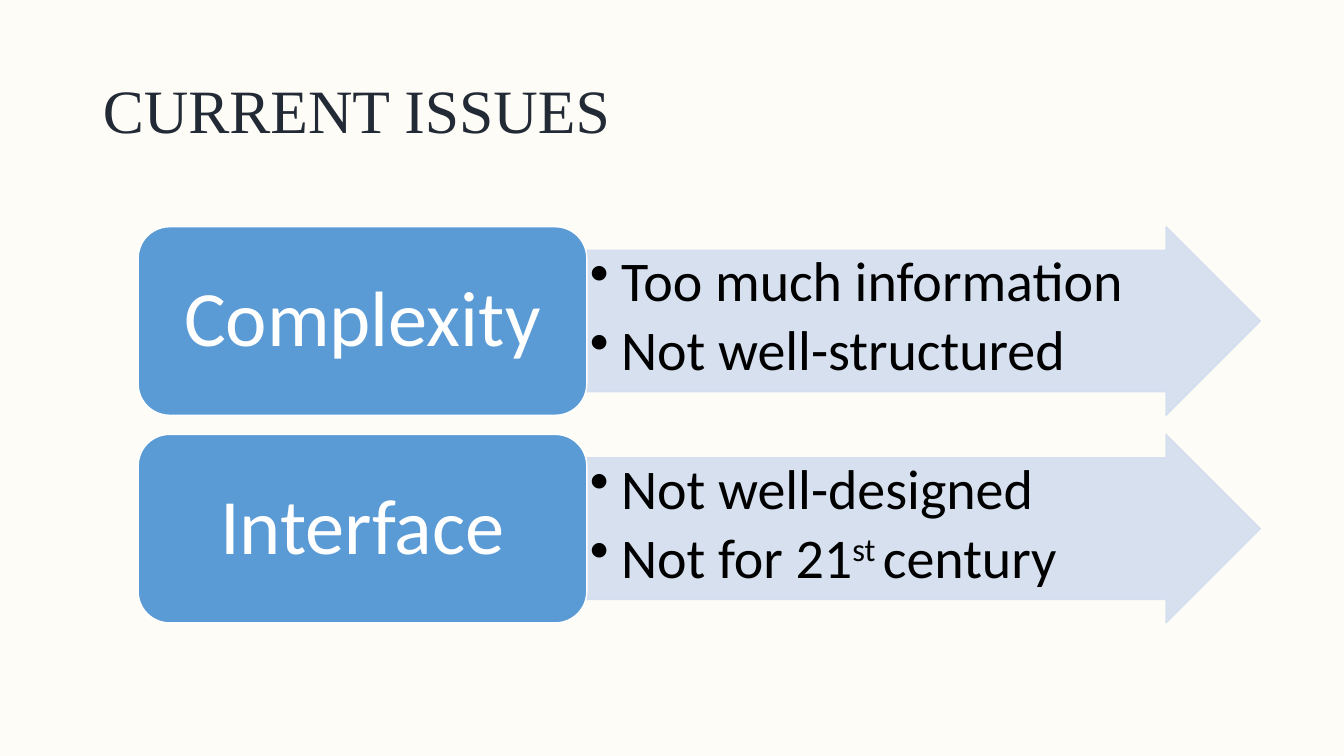
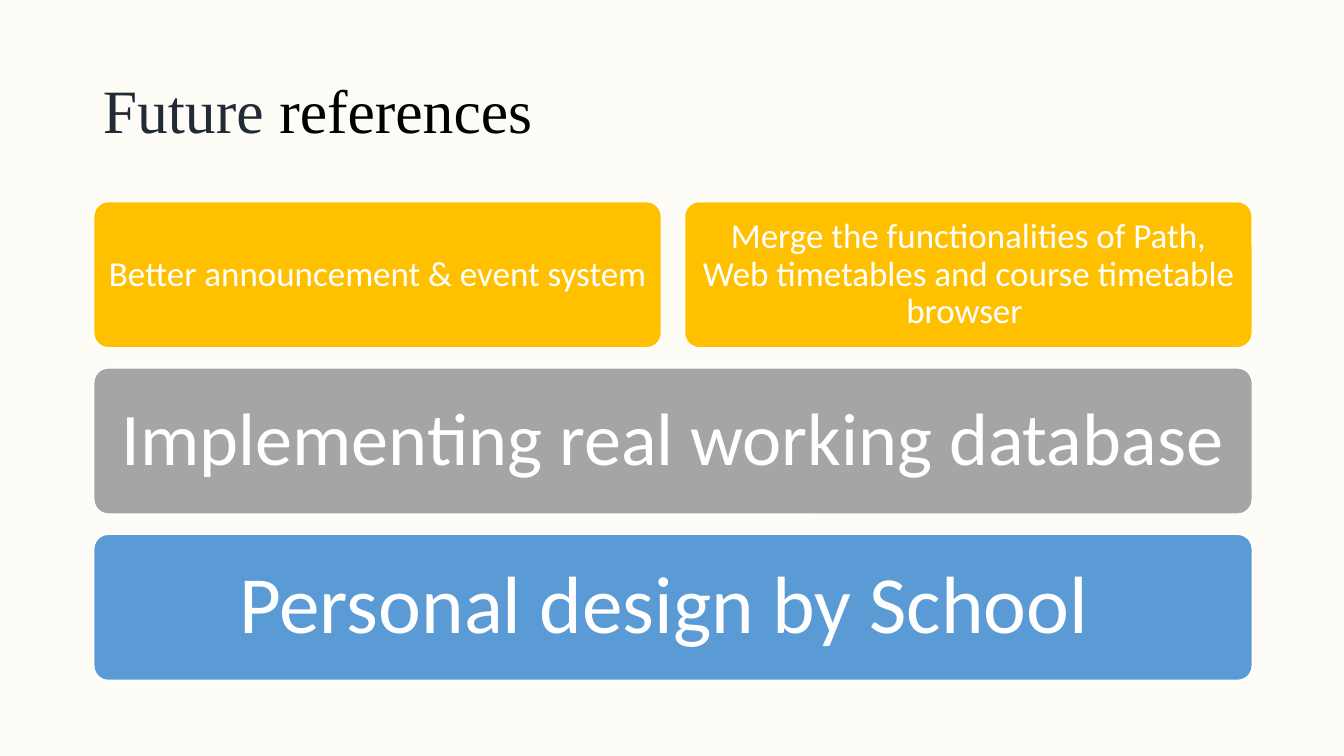
import pptx
import pptx.util
import pptx.dml.color
import pptx.enum.shapes
import pptx.enum.text
import pptx.oxml.ns
import lxml.etree

Inches = pptx.util.Inches
Pt = pptx.util.Pt
Shape = pptx.enum.shapes.MSO_SHAPE
Align = pptx.enum.text.PP_ALIGN
Anchor = pptx.enum.text.MSO_ANCHOR
qn = pptx.oxml.ns.qn


def color(code):
    return pptx.dml.color.RGBColor.from_string(code)


class Deck:
    paper, ink, black, white = "FEFCF7", "222A35", "000000", "FFFFFF"
    blue, pale, gray, gold = "5B9BD5", "D2DEEF", "A5A5A5", "FFC000"
    serif, sans = "Times New Roman", "Calibri"

    def __init__(self):
        self.prs = pptx.Presentation()
        self.prs.slide_width = Inches(13.33)
        self.prs.slide_height = Inches(7.5)
        back = self.prs.slide_master.background.fill
        back.solid()
        back.fore_color.rgb = color(self.paper)

    def font(self, run, face, size, code):
        run.font.name = face
        run.font.size = Pt(size)
        run.font.color.rgb = color(code)

    def label(self, para, parts, face, size, align=Align.LEFT, after=0):
        para.alignment = align
        para.line_spacing = 0.9
        para.space_before = Pt(0)
        para.space_after = Pt(size * after)
        for text, code, lift in parts:
            run = para.add_run()
            run.text = text
            self.font(run, face, size, code)
            if lift:
                run.font._element.set("baseline", str(lift * 1000))

    def page(self, *parts):
        self.slide = self.prs.slides.add_slide(self.prs.slide_layouts[5])
        title = self.slide.shapes.title
        title.left, title.top = Inches(0.92), Inches(0.4)
        title.width, title.height = Inches(11.5), Inches(1.45)
        frame = title.text_frame
        frame.auto_size = pptx.enum.text.MSO_AUTO_SIZE.NONE
        frame.vertical_anchor = Anchor.MIDDLE
        runs = [(text, code, 0) for text, code in parts]
        self.label(frame.paragraphs[0], runs, self.serif, 44)

    def shape(self, kind, box, fill, line, adjust, inset, anchor):
        item = self.slide.shapes.add_shape(kind, *map(Inches, box))
        item.shadow.inherit = False
        item.fill.solid()
        item.fill.fore_color.rgb = color(fill)
        item.line.color.rgb = color(line)
        item.line.width = Pt(1)
        for spot, value in enumerate(adjust):
            item.adjustments[spot] = value
        frame = item.text_frame
        frame.word_wrap = True
        frame.vertical_anchor = anchor
        frame.margin_left = frame.margin_right = Inches(inset[0])
        frame.margin_top = frame.margin_bottom = Inches(inset[1])
        return item

    def card(self, box, text, size, fill, inset, adjust=()):
        item = self.shape(Shape.ROUNDED_RECTANGLE, box, fill, self.white,
                          adjust, inset, Anchor.MIDDLE)
        self.label(item.text_frame.paragraphs[0], [(text, self.white, 0)],
                   self.sans, size, Align.CENTER, 0.35)

    def arrow(self, box, items):
        item = self.shape(Shape.RIGHT_ARROW, box, self.pale, self.pale,
                          (0.75, 0.5), (0.03, 0.03), Anchor.TOP)
        for tint in item._element.spPr.iter(qn("a:srgbClr")):
            lxml.etree.SubElement(tint, qn("a:alpha"), val="90000")
        frame = item.text_frame
        for spot, parts in enumerate(items):
            para = frame.add_paragraph() if spot else frame.paragraphs[0]
            runs = [(text, self.black, lift) for text, lift in parts]
            self.label(para, runs, self.sans, 40, after=0.15)
            props = para._p.get_or_add_pPr()
            props.set("marL", str(Inches(0.31)))
            props.set("indent", str(Inches(-0.31)))
            lxml.etree.SubElement(props, qn("a:buChar"), char="•")


def issues(deck):
    deck.page(("CURRENT ISSUES", deck.ink))
    rows = [
        ("Complexity", [[("Too much information", 0)],
                        [("Not well-structured", 0)]]),
        ("Interface", [[("Not well-designed", 0)],
                       [("Not for 21", 0), ("st ", 30), ("century", 0)]]),
    ]
    for spot, (name, items) in enumerate(rows):
        top = 2.25 + 2.06 * spot
        deck.arrow((5.82, top, 6.68, 1.87), items)
        deck.card((1.37, top, 4.45, 1.87), name, 56, deck.blue, (0.23, 0.12))


def future(deck):
    deck.page(("Future ", deck.ink), ("references", deck.black))
    left, top, full, high, step, gap = 0.93, 2, 11.49, 1.45, 1.65, 0.23
    rows = [
        (25, deck.gold, 0.1, [
            "Better announcement & event system",
            "Merge the functionalities of Path, Web timetables "
            "and course timetable browser "]),
        (53, deck.gray, 0.22, ["Implementing real working database"]),
        (58, deck.blue, 0.24, ["Personal design by School "]),
    ]
    for row, (size, fill, inset, texts) in enumerate(rows):
        wide = (full - gap * (len(texts) - 1)) / len(texts)
        for col, text in enumerate(texts):
            box = (left + col * (wide + gap), top + row * step, wide, high)
            deck.card(box, text, size, fill, (inset, inset), (0.1,))


def main():
    deck = Deck()
    issues(deck)
    future(deck)
    deck.prs.save("out.pptx")


if __name__ == "__main__":
    main()
